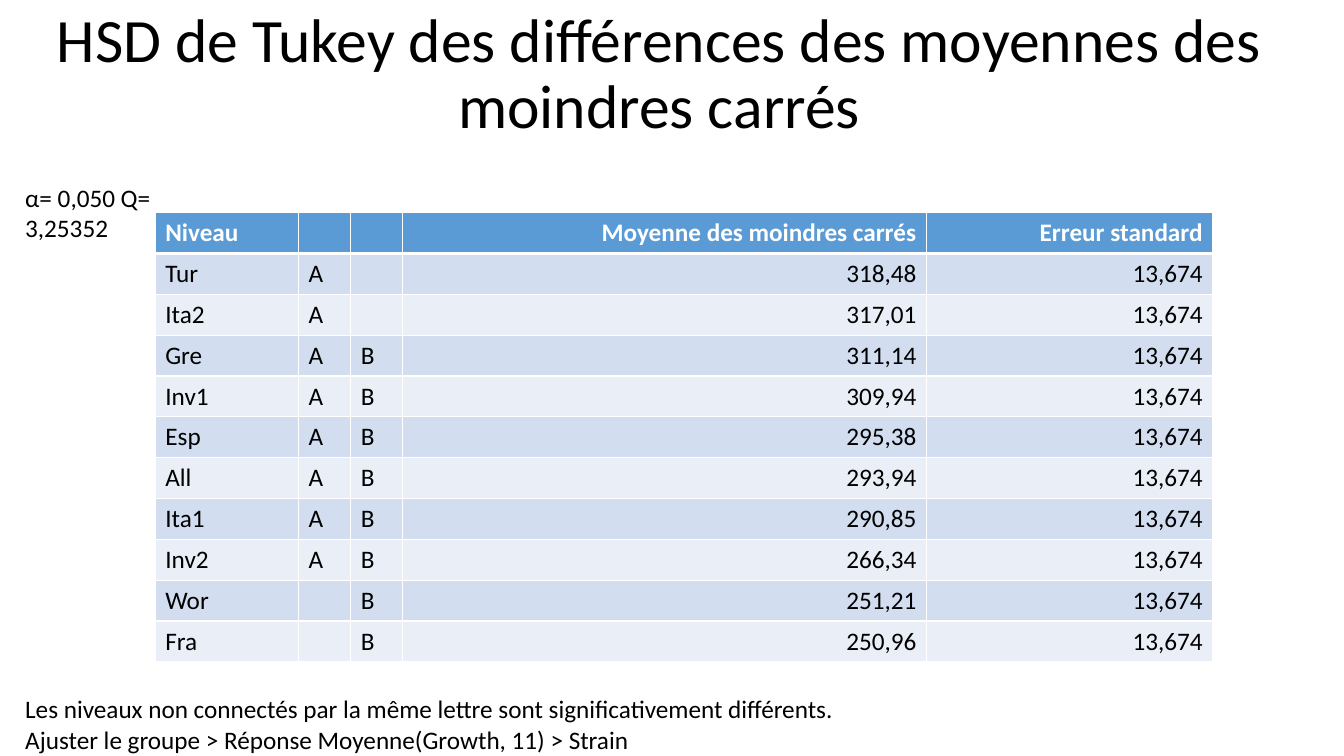
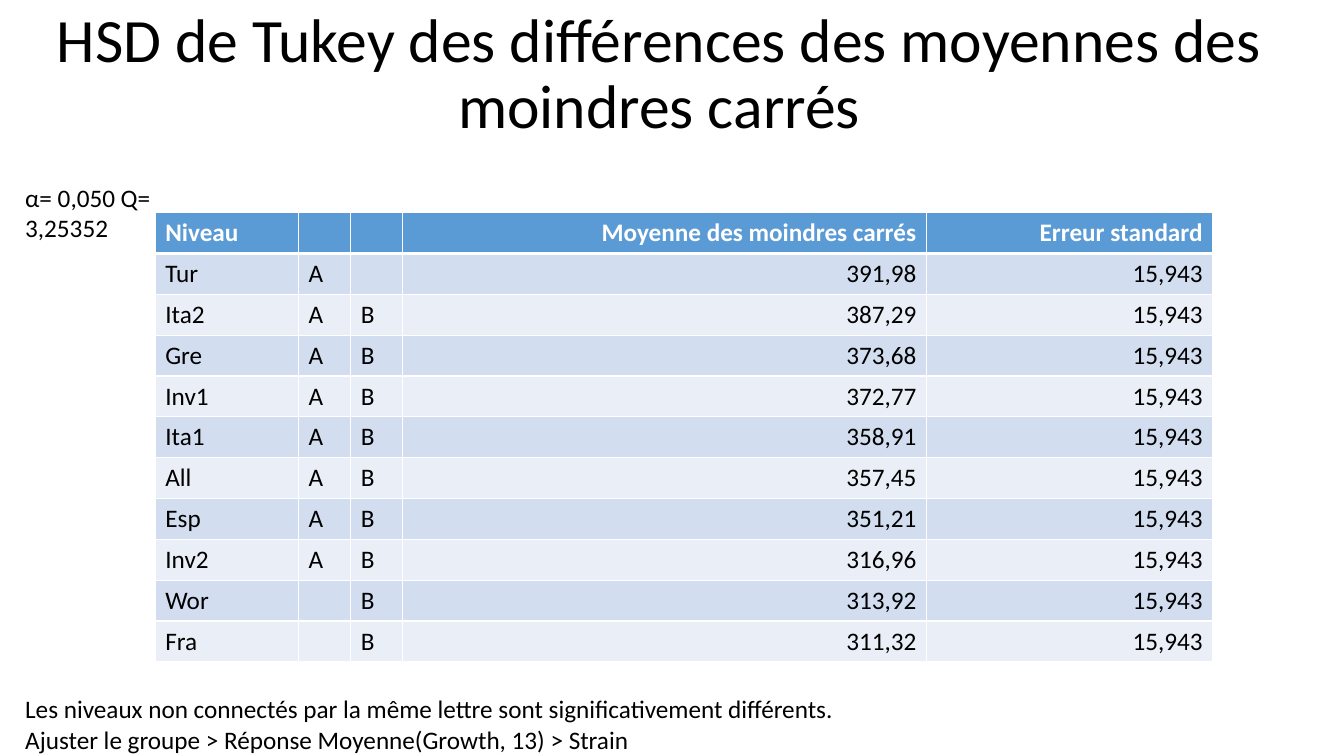
import dataclasses

import lxml.etree
import pptx
import pptx.dml.color
import pptx.enum.text
import pptx.oxml.ns
import pptx.util

Inches = pptx.util.Inches
Pt = pptx.util.Pt
Align = pptx.enum.text.PP_ALIGN
qn = pptx.oxml.ns.qn


@dataclasses.dataclass(frozen=True)
class Theme:
    font: str = "Calibri"
    ink: str = "000000"
    white: str = "FFFFFF"
    head: str = "5B9BD5"
    bands: tuple = ("D2DEEF", "EAEFF7")
    title: int = 44
    body: int = 18
    rule: int = 1
    thick: int = 3


theme = Theme()


def style(para, size, color, align=Align.LEFT, bold=False):
    para.alignment = align
    para.font.name = theme.font
    para.font.size = Pt(size)
    para.font.bold = bold
    para.font.color.rgb = pptx.dml.color.RGBColor.from_string(color)


def border(cell, side, width):
    props = cell._tc.get_or_add_tcPr()
    line = lxml.etree.SubElement(props, qn("a:ln" + side), w=str(Pt(width)))
    fill = lxml.etree.SubElement(line, qn("a:solidFill"))
    lxml.etree.SubElement(fill, qn("a:srgbClr"), val=theme.white)


heading = "HSD de Tukey des différences des moyennes des moindres carrés"
header = ("Niveau", "", "", "Moyenne des moindres carrés", "Erreur standard")
widths = (1.42, 0.52, 0.51, 5.2, 2.84)
height = 4.46
tests = (
    (11, "13,674", (
        ("Tur", "A", "", "318,48"),
        ("Ita2", "A", "", "317,01"),
        ("Gre", "A", "B", "311,14"),
        ("Inv1", "A", "B", "309,94"),
        ("Esp", "A", "B", "295,38"),
        ("All", "A", "B", "293,94"),
        ("Ita1", "A", "B", "290,85"),
        ("Inv2", "A", "B", "266,34"),
        ("Wor", "", "B", "251,21"),
        ("Fra", "", "B", "250,96"),
    )),
    (13, "15,943", (
        ("Tur", "A", "", "391,98"),
        ("Ita2", "A", "B", "387,29"),
        ("Gre", "A", "B", "373,68"),
        ("Inv1", "A", "B", "372,77"),
        ("Ita1", "A", "B", "358,91"),
        ("All", "A", "B", "357,45"),
        ("Esp", "A", "B", "351,21"),
        ("Inv2", "A", "B", "316,96"),
        ("Wor", "", "B", "313,92"),
        ("Fra", "", "B", "311,32"),
    )),
)

deck = pptx.Presentation()
deck.slide_width = Inches(13.33)
deck.slide_height = Inches(7.5)
layout = deck.slide_layouts[5]

for growth, error, levels in tests:
    slide = deck.slides.add_slide(layout)

    title = slide.shapes.title
    title.left, title.top = Inches(0), Inches(0)
    title.width, title.height = Inches(13.08), Inches(1.5)
    title.text_frame.text = heading
    title.text_frame.auto_size = pptx.enum.text.MSO_AUTO_SIZE.NONE
    title.text_frame.vertical_anchor = pptx.enum.text.MSO_ANCHOR.MIDDLE
    style(title.text_frame.paragraphs[0], theme.title, theme.ink, Align.CENTER)
    title.text_frame.paragraphs[0].line_spacing = 0.9

    notes = (
        (1.81, 2.12, "α= 0,050 Q= 3,25352"),
        (6.88, 8.07, "Les niveaux non connectés par la même lettre sont significativement différents."),
        (7.19, 6.01, f"Ajuster le groupe > Réponse Moyenne(Growth, {growth}) > Strain"),
    )
    for top, width, text in notes:
        box = slide.shapes.add_textbox(Inches(0.25), Inches(top), Inches(width), Inches(0.31))
        frame = box.text_frame
        frame.margin_left = frame.margin_right = frame.margin_top = frame.margin_bottom = 0
        frame.word_wrap = False
        frame.text = text
        style(frame.paragraphs[0], theme.body, theme.ink)

    rows = [header] + [level + (error,) for level in levels]
    table = slide.shapes.add_table(
        len(rows), len(widths), Inches(1.54), Inches(2.11), Inches(sum(widths)), Inches(height)
    ).table
    for column, width in zip(table.columns, widths):
        column.width = Inches(width)
    for r, row in enumerate(rows):
        table.rows[r].height = Inches(height / len(rows))
        fill = theme.bands[(r - 1) % 2] if r else theme.head
        for c, text in enumerate(row):
            cell = table.cell(r, c)
            cell.text = text
            style(
                cell.text_frame.paragraphs[0],
                theme.body,
                theme.ink if r else theme.white,
                Align.RIGHT if c > 2 else Align.LEFT,
                r == 0,
            )
            for side in "LRTB":
                heavy = (r, side) in ((0, "B"), (1, "T"))
                border(cell, side, theme.thick if heavy else theme.rule)
            cell.fill.solid()
            cell.fill.fore_color.rgb = pptx.dml.color.RGBColor.from_string(fill)

deck.save("out.pptx")
